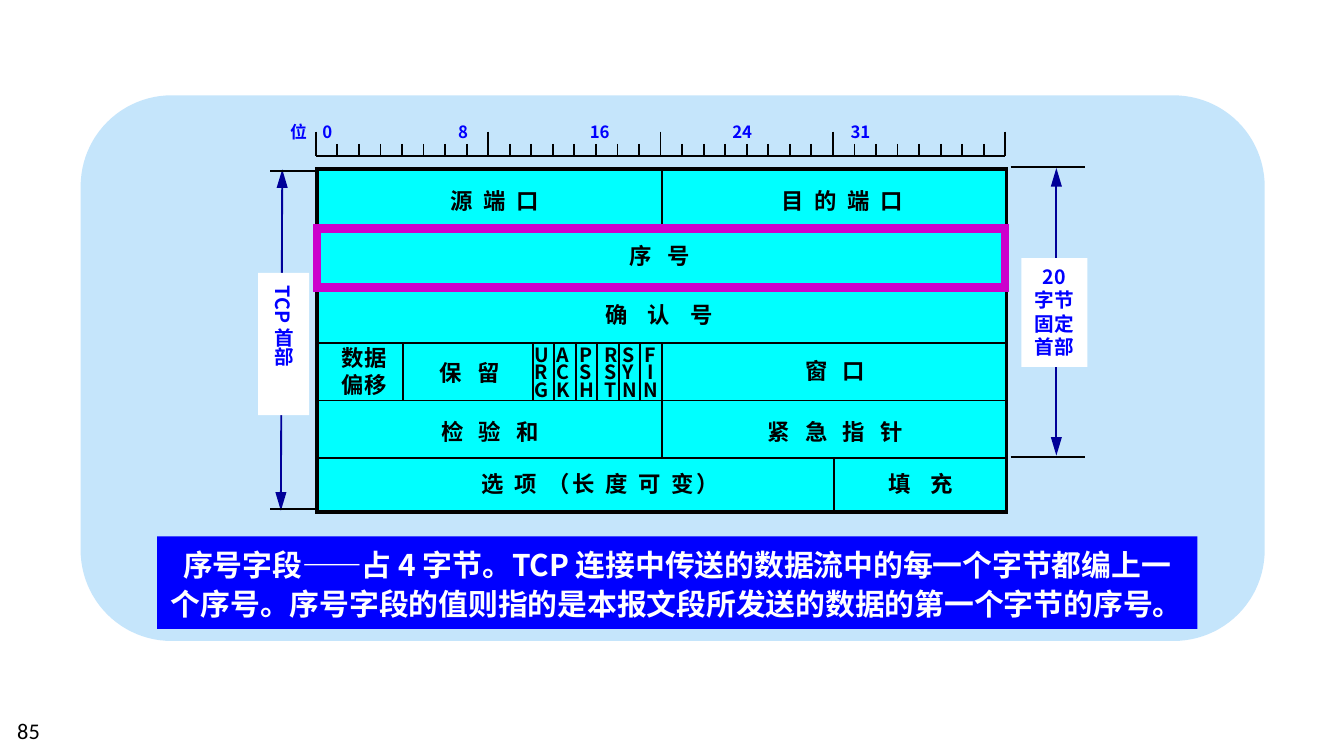
from lxml import etree
from pptx import Presentation
from pptx.dml.color import RGBColor
from pptx.enum.shapes import MSO_CONNECTOR as Connector, MSO_SHAPE as Shape
from pptx.enum.text import MSO_ANCHOR as Anchor, MSO_AUTO_SIZE as AutoSize, PP_ALIGN as Align
from pptx.oxml.ns import qn
from pptx.util import Inches, Pt

BLACK = RGBColor(0, 0, 0)
WHITE = RGBColor(0xFF, 0xFF, 0xFF)
BLUE = RGBColor(0, 0, 0xFF)
NAVY = RGBColor(0, 0, 0x99)
CYAN = RGBColor(0, 0xFF, 0xFF)
MAGENTA = RGBColor(0xCC, 0, 0xCC)
PALE_BLUE = RGBColor(0xC5, 0xE5, 0xFB)
FONT = "Noto Sans CJK SC"
SLIDE_WIDTH = Inches(10)
SLIDE_HEIGHT = SLIDE_WIDTH * 9 // 16

# Header grid: 32 bit columns and six rows, in inches
LEFT, TOP, WIDTH, HEIGHT = 2.36, 1.26, 5.13, 2.55
BITS, ROWS, ROW_HEIGHT = 32, 6, 0.43
RULER_BASE = 1.16

# Left, top, width, character spacing, text
FIELDS = [
    (3.23, 1.34, 0.91, 1.5, "源 端 口"),
    (5.68, 1.34, 1.18, 1.5, "目 的 端 口"),
    (4.45, 1.75, 0.92, 2.7, "序 号"),
    (4.29, 2.19, 1.23, 4, "确 认 号"),
    (3.15, 2.62, 0.69, 2.7, "保 留"),
    (5.87, 2.61, 0.69, 2.7, "窗 口"),
    (3.14, 3.06, 1.01, 2.7, "检 验 和"),
    (5.55, 3.06, 1.33, 2.7, "紧 急 指 针"),
    (3.32, 3.45, 2.3, 1.5, "选 项 （长 度 可 变）"),
    (6.43, 3.45, 0.84, 4, "填 充"),
]
# First row, last row, bit columns of the vertical dividers
DIVIDERS = [(0, 1, [16]), (3, 4, [4, *range(10, 17)]), (4, 5, [16]), (5, 6, [24])]
FLAGS = {"URG": 3.88, "ACK": 4.04, "PSH": 4.21, "RST": 4.4, "SYN": 4.53, "FIN": 4.68}
# Ruler labels and their distance from the first label
RULER_STOPS = {"0": 0.24, "8": 1.25, "16": 2.23, "24": 3.29, "31": 4.17}


def column_x(bit):
    return LEFT + WIDTH * bit / BITS


def row_y(row):
    return min(TOP + ROW_HEIGHT * row, TOP + HEIGHT)


def add_box(slide, left, top, width, height, kind=Shape.RECTANGLE,
            fill=None, line=None, weight=1):
    shape = slide.shapes.add_shape(
        kind, Inches(left), Inches(top), Inches(width), Inches(height))
    shape.shadow.inherit = False
    if fill is None:
        shape.fill.background()
    else:
        shape.fill.solid()
        shape.fill.fore_color.rgb = fill
    if line is None:
        shape.line.fill.background()
    else:
        shape.line.color.rgb = line
        shape.line.width = Pt(weight)
        etree.SubElement(shape.line._get_or_add_ln(), qn("a:miter"), lim="800000")
    return shape


def add_line(slide, x1, y1, x2, y2, color=BLACK, arrows=False):
    connector = slide.shapes.add_connector(
        Connector.STRAIGHT, Inches(x1), Inches(y1), Inches(x2), Inches(y2))
    connector.line.color.rgb = color
    connector.line.width = Pt(1)
    if arrows:
        outline = connector.line._get_or_add_ln()
        for end in ("a:headEnd", "a:tailEnd"):
            etree.SubElement(outline, qn(end), type="triangle", w="med", len="lg")
    etree.SubElement(connector._element.spPr, qn("a:effectLst"))


def write_text(shape, text, size=12, color=BLACK, bold=True, font=FONT, align=Align.CENTER,
               anchor=Anchor.TOP, wrap=True, line_spacing=None, spacing=0):
    frame = shape.text_frame
    frame.word_wrap = wrap
    frame.auto_size = AutoSize.NONE
    frame.vertical_anchor = anchor
    for index, line in enumerate(text.split("\n")):
        paragraph = frame.paragraphs[0] if index == 0 else frame.add_paragraph()
        paragraph.alignment = align
        if line_spacing:
            paragraph.line_spacing = line_spacing
        run = paragraph.add_run()
        run.text = line
        run.font.size, run.font.bold, run.font.name = Pt(size), bold, font
        run.font.color.rgb = color
        properties = run.font._element
        etree.SubElement(properties, qn("a:ea"), typeface=font)
        if spacing:
            properties.set("spc", str(int(spacing * 100)))


def add_label(slide, left, top, width, height, text, **text_format):
    box = slide.shapes.add_textbox(
        Inches(left), Inches(top), Inches(width), Inches(height))
    write_text(box, text, **text_format)
    return box


def add_measures(slide):
    # Whole header, on the left
    add_line(slide, 2.1, TOP, 2.09, 3.8, NAVY, arrows=True)
    whole = add_box(slide, 1.92, 2.03, 0.38, 1.06, fill=WHITE)
    write_text(whole, "TCP 首部", size=10.5, color=BLUE, align=Align.LEFT,
               anchor=Anchor.MIDDLE)
    whole.text_frame.margin_left = Inches(0.05)
    whole.text_frame._txBody.bodyPr.set("vert", "eaVert")
    for y in (1.27, 3.79):
        add_line(slide, 2.01, y, LEFT, y)

    # Fixed part, on the right
    add_line(slide, 7.86, 1.25, 7.86, 3.39, NAVY, arrows=True)
    fixed = add_box(slide, 7.6, 1.92, 0.49, 0.81, fill=WHITE)
    write_text(fixed, "20\n字节\n固定\n首部", size=10.5, color=BLUE, wrap=False)
    for y in (1.24, 3.4):
        add_line(slide, 7.52, y, 8.07, y)


def add_header_grid(slide):
    add_box(slide, LEFT, TOP, WIDTH, HEIGHT, fill=CYAN, line=BLACK, weight=2)
    for row in range(1, ROWS):
        add_line(slide, LEFT, row_y(row), LEFT + WIDTH, row_y(row))
    for first, last, bits in DIVIDERS:
        for bit in bits:
            add_line(slide, column_x(bit), row_y(first), column_x(bit), row_y(last))
    for left, top, width, spacing, text in FIELDS:
        add_label(slide, left, top, width, 0.3, text, wrap=False, spacing=spacing)
    add_label(slide, 2.44, 2.51, 0.54, 0.5, "数据\n偏移", wrap=False)
    for flag, left in FLAGS.items():
        add_label(slide, left, 2.54, 0.32, 0.52, "\n".join(flag), size=10.5,
                  align=Align.CENTER if flag == "FIN" else Align.LEFT,
                  wrap=False, line_spacing=0.75)


def add_ruler(slide):
    start = LEFT - 0.01
    add_line(slide, start, RULER_BASE, start + WIDTH, RULER_BASE)
    for bit in range(BITS + 1):
        x = column_x(bit) - 0.01
        tick = 0.18 if bit % 8 == 0 else 0.09
        add_line(slide, x, RULER_BASE - tick, x, RULER_BASE)
    label = add_label(slide, 2.06, 0.86, 5.58, 0.25, "\t".join(["位", *RULER_STOPS]),
                      size=9, color=BLUE, align=Align.LEFT)
    properties = label.text_frame.paragraphs[0]._p.get_or_add_pPr()
    stops = etree.SubElement(properties, qn("a:tabLst"))
    for position in RULER_STOPS.values():
        etree.SubElement(stops, qn("a:tab"), pos=str(Inches(position)), algn="l")


def main():
    presentation = Presentation()
    presentation.slide_width, presentation.slide_height = SLIDE_WIDTH, SLIDE_HEIGHT
    slide = presentation.slides.add_slide(presentation.slide_layouts[6])

    add_box(slide, 0.6, 0.71, 8.81, 4.06, kind=Shape.ROUNDED_RECTANGLE, fill=PALE_BLUE)
    add_measures(slide)
    add_header_grid(slide)
    add_ruler(slide)

    # Highlighted field and its explanation
    add_box(slide, LEFT, 1.7, 5.12, 0.44, line=MAGENTA, weight=4.5)
    banner = add_box(slide, 1.17, 3.99, 7.74, 0.69, fill=BLUE)
    write_text(banner, "序号字段——占 4 字节。TCP 连接中传送的数据流中的每一个字节都编上"
               "一个序号。序号字段的值则指的是本报文段所发送的数据的第一个字节的序号。",
               size=16, color=WHITE, line_spacing=1.1)

    # Slide number
    add_label(slide, 0.03, 5.29, 2.33, 0.3, "85", bold=False, font="Calibri",
              align=Align.LEFT)
    presentation.save("out.pptx")


if __name__ == "__main__":
    main()
